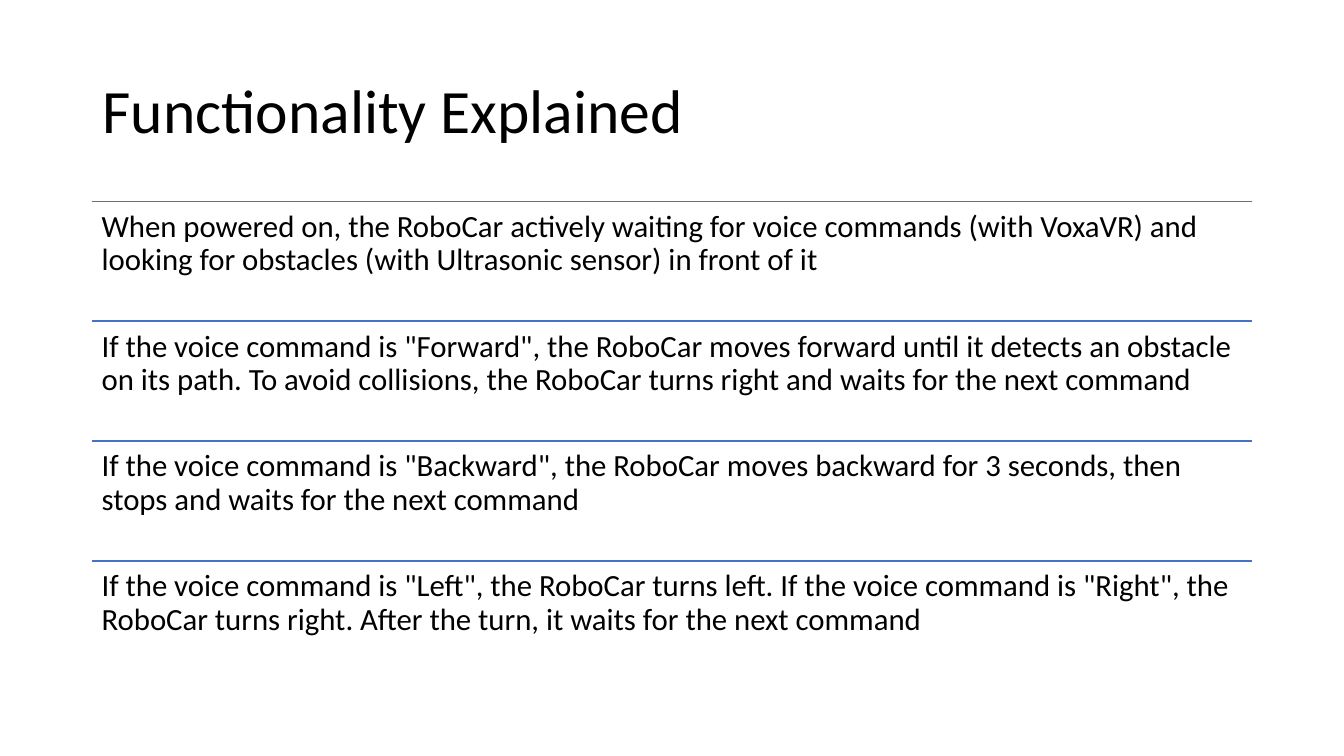
from lxml import etree
from pptx import Presentation
from pptx.dml.color import RGBColor
from pptx.enum.shapes import MSO_CONNECTOR
from pptx.enum.text import MSO_ANCHOR, PP_ALIGN
from pptx.oxml.ns import qn
from pptx.util import Pt

STRAIGHT = MSO_CONNECTOR.STRAIGHT
TOP, MIDDLE = MSO_ANCHOR.TOP, MSO_ANCHOR.MIDDLE
LEFT = PP_ALIGN.LEFT

FONT = "Calibri"
TEXT_COLOR = "000000"
RULE_COLOR = "4472C4"

HEADING = "Functionality Explained"
BEHAVIORS = [
    "When powered on, the RoboCar actively waiting for voice commands (with VoxaVR) "
    "and looking for obstacles (with Ultrasonic sensor) in front of it",
    'If the voice command is "Forward", the RoboCar moves forward until it detects '
    "an obstacle on its path. To avoid collisions, the RoboCar turns right and waits "
    "for the next command",
    'If the voice command is "Backward", the RoboCar moves backward for 3 seconds, '
    "then stops and waits for the next command",
    'If the voice command is "Left", the RoboCar turns left. If the voice command is '
    '"Right", the RoboCar turns right. After the turn, it waits for the next command',
]


def rgb(hex_color):
    return RGBColor.from_string(hex_color)


def write(frame, text, size, anchor):
    frame.text = text
    frame.word_wrap = True
    frame.vertical_anchor = anchor
    paragraph = frame.paragraphs[0]
    paragraph.alignment = LEFT
    paragraph.line_spacing = 0.9
    font = paragraph.runs[0].font
    font.name = FONT
    font.size = Pt(size)
    font.color.rgb = rgb(TEXT_COLOR)


def add_heading(slide, left, top, width, height):
    heading = slide.shapes.title
    heading.left, heading.top = Pt(left), Pt(top)
    heading.width, heading.height = Pt(width), Pt(height)
    write(heading.text_frame, HEADING, 44, MIDDLE)


def add_rule(slide, left, top, width):
    rule = slide.shapes.add_connector(
        STRAIGHT, Pt(left), Pt(top), Pt(left + width), Pt(top))
    rule.line.color.rgb = rgb(RULE_COLOR)
    rule.line.width = Pt(1)
    etree.SubElement(rule._element.spPr, qn("a:effectLst"))


def add_behavior_list(slide, left, top, width, height):
    """Stack the behaviors in equal rows, each under a thin rule."""
    row_height = height / len(BEHAVIORS)
    for index, behavior in enumerate(BEHAVIORS):
        row_top = top + index * row_height
        add_rule(slide, left, row_top, width)
        row = slide.shapes.add_textbox(
            Pt(left), Pt(row_top), Pt(width), Pt(row_height))
        frame = row.text_frame
        frame.margin_left = frame.margin_right = Pt(6.6)
        frame.margin_top = frame.margin_bottom = Pt(6.6)
        write(frame, behavior, 22, TOP)


def main():
    deck = Presentation()
    deck.slide_width, deck.slide_height = Pt(960), Pt(540)
    slide = deck.slides.add_slide(deck.slide_layouts[5])
    add_heading(slide, 66, 28.75, 828, 104.4)
    add_behavior_list(slide, 66, 143.75, 828, 342.7)
    deck.save("out.pptx")


if __name__ == "__main__":
    main()
